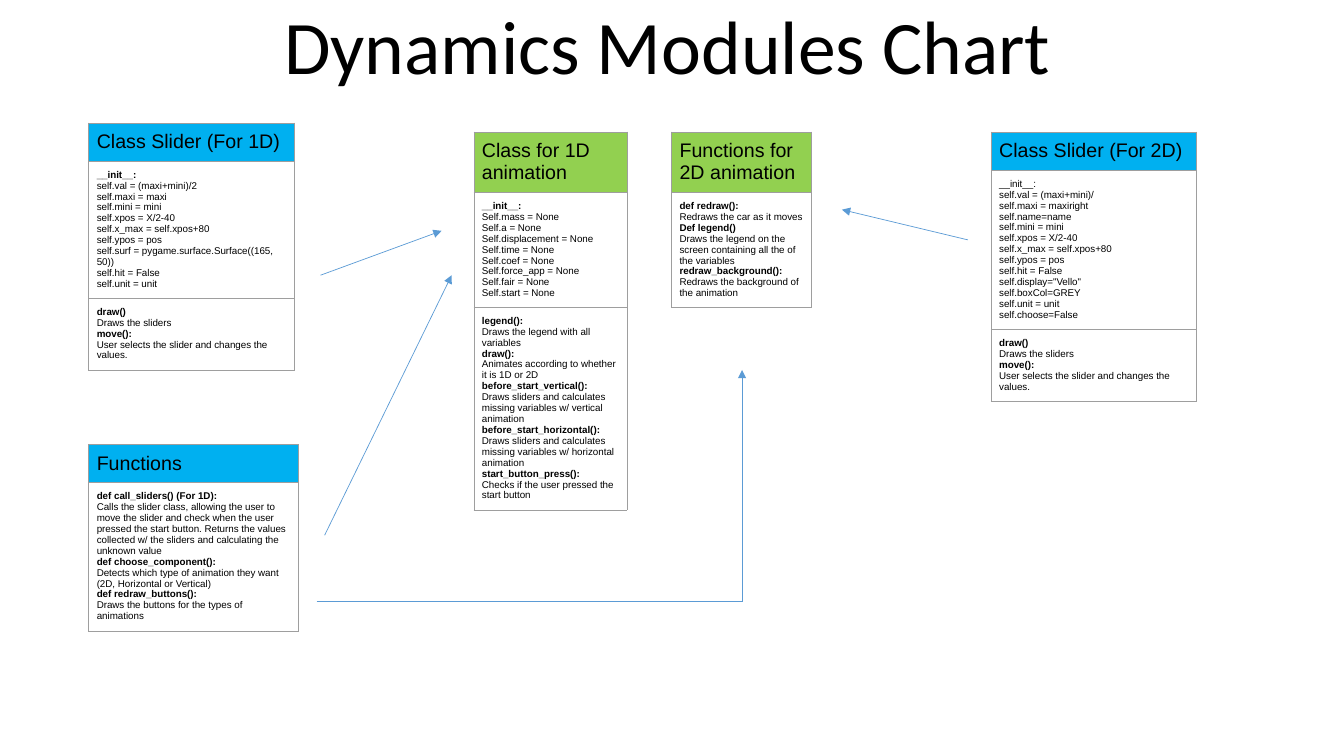
"""Build the Dynamics Modules Chart slide."""
from dataclasses import dataclass

from pptx import Presentation
from pptx.dml.color import RGBColor
from pptx.enum.shapes import MSO_CONNECTOR
from pptx.enum.text import MSO_ANCHOR, MSO_AUTO_SIZE, PP_ALIGN
from pptx.oxml import parse_xml
from pptx.oxml.ns import nsdecls, qn
from pptx.oxml.xmlchemy import OxmlElement
from pptx.slide import Slide
from pptx.table import _Cell
from pptx.util import Inches, Pt

STRAIGHT = MSO_CONNECTOR.STRAIGHT
CENTER = PP_ALIGN.CENTER
MIDDLE = MSO_ANCHOR.MIDDLE
TOP = MSO_ANCHOR.TOP
NO_AUTOFIT = MSO_AUTO_SIZE.NONE
TITLE_ONLY = 5

COLORS = {
    "text": "000000",
    "control": "00B0F0",
    "animation": "92D050",
    "border": "9E9E9E",
    "arrow": "5B9BD5",
}


@dataclass(frozen=True)
class Line:
    """One line of a module's description."""

    text: str
    bold: bool = False


@dataclass(frozen=True)
class Section:
    """A table row of lines with its height in inches."""

    height: float
    lines: tuple[Line, ...]


@dataclass(frozen=True)
class Module:
    """A module's table, with lengths in inches."""

    name: str
    color: str
    left: float
    top: float
    width: float
    header_height: float
    sections: tuple[Section, ...]


@dataclass(frozen=True)
class Link:
    """A line between two points in inches."""

    start: tuple[float, float]
    end: tuple[float, float]
    arrowhead: bool = True


def attributes(height: float, *names: str, bold_init: bool = True) -> Section:
    """Return a section that lists a class's attributes under its constructor."""
    return Section(height, (Line("__init__:", bold_init), *map(Line, names)))


def methods(height: float, **_: str) -> Section:
    """Return an empty section of the given height."""
    return Section(height, ())


def operations(height: float, *pairs: tuple[str, str]) -> Section:
    """Return a section of bold signatures, each followed by its purpose."""
    lines = [line for signature, purpose in pairs
             for line in (Line(signature, True), Line(purpose))]
    return Section(height, tuple(lines))


SLIDER_OPERATIONS = operations(
    0.71,
    ("draw()", "Draws the sliders"),
    ("move():", "User selects the slider and changes the values."),
)

MODULES = (
    Module("Class Slider (For 1D)", "control", 0.88, 1.22, 2.04, 0.38, (
        attributes(
            1.36, "self.val = (maxi+mini)/2", "self.maxi = maxi", "self.mini = mini",
            "self.xpos = X/2-40", "self.x_max = self.xpos+80", "self.ypos = pos",
            "self.surf = pygame.surface.Surface((165, 50))", "self.hit = False",
            "self.unit = unit"),
        SLIDER_OPERATIONS)),
    Module("Class for 1D animation", "animation", 4.7, 1.31, 1.52, 0.6, (
        attributes(
            1.14, "Self.mass = None", "Self.a = None", "Self.displacement = None",
            "Self.time = None", "Self.coef = None", "Self.force_app = None",
            "Self.fair = None", "Self.start = None"),
        operations(
            2.01,
            ("legend():", "Draws the legend with all variables"),
            ("draw():", "Animates according to whether it is 1D or 2D"),
            ("before_start_vertical():",
             "Draws sliders and calculates missing variables w/ vertical animation"),
            ("before_start_horizontal():",
             "Draws sliders and calculates missing variables w/ horizontal animation"),
            ("start_button_press():", "Checks if the user pressed the start button")))),
    Module("Functions for 2D animation", "animation", 6.66, 1.31, 1.39, 0.6, (
        operations(
            1.14,
            ("def redraw():", "Redraws the car as it moves"),
            ("Def legend()",
             "Draws the legend on the screen containing all the of the variables"),
            ("redraw_background():", "Redraws the background of the animation")),)),
    Module("Class Slider (For 2D)", "control", 9.83, 1.31, 2.04, 0.38, (
        attributes(
            1.58, "self.val = (maxi+mini)/", "self.maxi = maxiright", "self.name=name",
            "self.mini = mini", "self.xpos = X/2-40", "self.x_max = self.xpos+80",
            "self.ypos = pos", "self.hit = False", 'self.display="Vello"',
            "self.boxCol=GREY", "self.unit = unit", "self.choose=False",
            bold_init=False),
        SLIDER_OPERATIONS)),
    Module("Functions", "control", 0.88, 4.41, 2.08, 0.38, (
        operations(
            1.47,
            ("def call_sliders() (For 1D):",
             "Calls the slider class, allowing the user to move the slider and check "
             "when the user pressed the start button. Returns the values collected w/ "
             "the sliders and calculating the unknown value"),
            ("def choose_component():",
             "Detects which type of animation they want (2D, Horizontal or Vertical)"),
            ("def redraw_buttons():", "Draws the buttons for the types of animations")),)),
)

LINKS = (
    Link((9.6, 2.38), (8.35, 2.08)),
    Link((3.18, 2.73), (4.38, 2.29)),
    Link((3.22, 5.31), (4.48, 2.73)),
    Link((3.14, 5.97), (7.36, 5.97), arrowhead=False),
    Link((7.36, 5.97), (7.36, 3.67)),
)


def add_title(slide: Slide, text: str) -> None:
    """Fill and place the title placeholder."""
    title = slide.shapes.title
    title.left, title.top = Inches(2.68), Inches(-0.07)
    title.width, title.height = Inches(7.88), Inches(1.01)
    frame = title.text_frame
    frame.text = text
    frame.word_wrap = False
    frame.auto_size = NO_AUTOFIT
    frame.vertical_anchor = MIDDLE
    heading = frame.paragraphs[0]
    heading.alignment = CENTER
    heading.font.name, heading.font.size = "Calibri", Pt(54)
    heading.font.color.rgb = RGBColor.from_string(COLORS["text"])


def fill_cell(cell: _Cell, lines: tuple[Line, ...], size: int) -> None:
    """Write lines into a bordered cell."""
    cell.margin_left = cell.margin_right = Inches(0.08)
    cell.margin_top = cell.margin_bottom = Inches(0.08)
    cell.vertical_anchor = TOP
    cell.text = "\n".join(line.text for line in lines)
    for paragraph, line in zip(cell.text_frame.paragraphs, lines):
        font = paragraph.font
        font.name, font.size, font.bold = "Arial", Pt(size), line.bold
        font.color.rgb = RGBColor.from_string(COLORS["text"])
    properties = cell._tc.get_or_add_tcPr()
    for side in "LRTB":
        properties.append(parse_xml(
            f'<a:ln{side} {nsdecls("a")} w="{Pt(0.6)}"><a:solidFill>'
            f'<a:srgbClr val="{COLORS["border"]}"/></a:solidFill></a:ln{side}>'))
    cell.fill.background()


def add_module(slide: Slide, module: Module) -> None:
    """Draw a module as a one-column table."""
    heights = [module.header_height, *(section.height for section in module.sections)]
    table = slide.shapes.add_table(
        len(heights), 1, Inches(module.left), Inches(module.top),
        Inches(module.width), Inches(sum(heights))).table
    table.first_row = table.horz_banding = False
    for row, height in zip(table.rows, heights):
        row.height = Inches(height)
    header = table.cell(0, 0)
    fill_cell(header, (Line(module.name),), 14)
    header.fill.solid()
    header.fill.fore_color.rgb = RGBColor.from_string(COLORS[module.color])
    for index, section in enumerate(module.sections, start=1):
        fill_cell(table.cell(index, 0), section.lines, 7)


def add_link(slide: Slide, link: Link) -> None:
    """Draw a thin line, with an arrowhead where the link asks for one."""
    connector = slide.shapes.add_connector(
        STRAIGHT, *(Inches(value) for value in link.start + link.end))
    connector.line.width = Pt(0.5)
    connector.line.color.rgb = RGBColor.from_string(COLORS["arrow"])
    properties = connector._element.spPr
    if link.arrowhead:
        arrowhead = OxmlElement("a:tailEnd")
        arrowhead.set("type", "triangle")
        properties.find(qn("a:ln")).append(arrowhead)
    properties.append(OxmlElement("a:effectLst"))


def main() -> None:
    """Build and save the slide."""
    presentation = Presentation()
    presentation.slide_width, presentation.slide_height = Inches(13.33), Inches(7.5)
    slide = presentation.slides.add_slide(presentation.slide_layouts[TITLE_ONLY])
    for module in MODULES:
        add_module(slide, module)
    add_title(slide, "Dynamics Modules Chart")
    for link in LINKS:
        add_link(slide, link)
    presentation.save("out.pptx")


if __name__ == "__main__":
    main()
